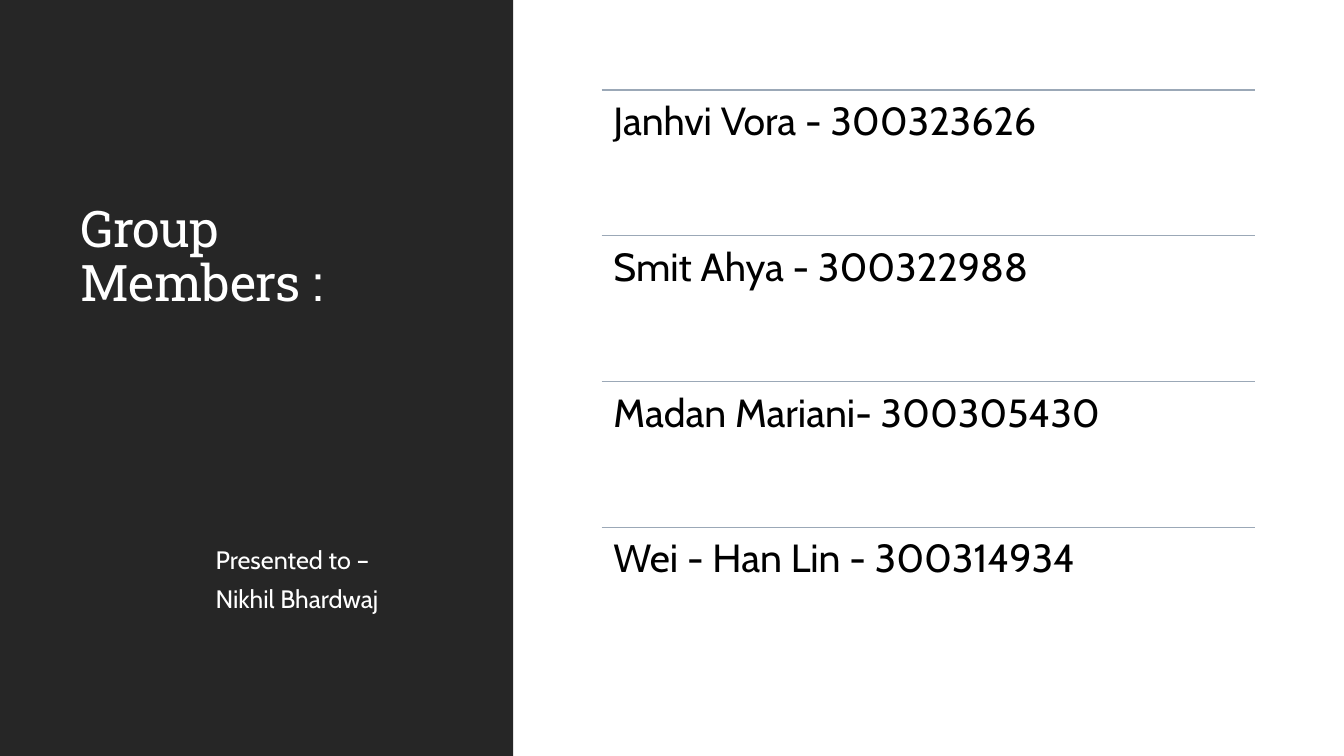
from lxml import etree
from pptx import Presentation
from pptx import util as u
from pptx.dml import color as col
from pptx.enum import shapes, text
from pptx.oxml import ns

HUES = {"panel": "262626", "light": "FFFFFF", "dark": "000000", "rule": "9BA8B7"}
MEMBERS = [
    "Janhvi Vora - 300323626",
    "Smit Ahya - 300322988",
    "Madan Mariani- 300305430",
    "Wei - Han Lin - 300314934",
]
LEFT, TOP, WIDE, STEP = 429.8, 64.1, 466.6, 104.2


def hue(name):
    return col.RGBColor.from_string(HUES[name])


def place(shape, x, y, w, h):
    shape.left, shape.top = u.Pt(x), u.Pt(y)
    shape.width, shape.height = u.Pt(w), u.Pt(h)


def write(shape, lines, size, tone, font="Cabin", anchor=text.MSO_ANCHOR.TOP,
          inset=None, lead=None, after=0, track=None):
    frame = shape.text_frame
    frame.word_wrap = True
    frame.auto_size = text.MSO_AUTO_SIZE.NONE
    frame.vertical_anchor = anchor
    if inset is not None:
        frame.margin_left = frame.margin_right = u.Pt(inset)
        frame.margin_top = frame.margin_bottom = u.Pt(inset)
    frame.text = "\n".join(lines)
    for para in frame.paragraphs:
        para.alignment = text.PP_ALIGN.LEFT
        para.space_before, para.space_after = u.Pt(0), u.Pt(after)
        para.line_spacing = lead
        for run in para.runs:
            run.font.name = font
            run.font.size = u.Pt(size)
            run.font.color.rgb = hue(tone)
            if track is not None:
                run.font._element.set("spc", str(track))


def add_box(slide, x, y, w, h, lines, **style):
    box = slide.shapes.add_textbox(u.Pt(x), u.Pt(y), u.Pt(w), u.Pt(h))
    write(box, lines, **style)


def add_rule(slide, x, y, w):
    rule = slide.shapes.add_connector(
        shapes.MSO_CONNECTOR.STRAIGHT, u.Pt(x), u.Pt(y), u.Pt(x + w), u.Pt(y))
    rule.line.color.rgb = hue("rule")
    rule.line.width = u.Pt(1.25)
    etree.SubElement(rule._element.spPr, ns.qn("a:effectLst"))


def add_panel(slide, w, h):
    panel = slide.shapes.add_shape(
        shapes.MSO_SHAPE.RECTANGLE, 0, 0, u.Pt(w), u.Pt(h))
    panel.shadow.inherit = False
    panel.fill.solid()
    panel.fill.fore_color.rgb = hue("panel")
    panel.line.fill.background()
    slide.shapes._spTree.insert(2, panel._element)


def main():
    deck = Presentation()
    deck.slide_width, deck.slide_height = u.Pt(960), u.Pt(540)
    slide = deck.slides.add_slide(deck.slide_layouts[5])
    add_panel(slide, 366.5, 540)

    title = slide.shapes.title
    place(title, 50.4, 61.9, 277.2, 164.9)
    write(title, ["Group Members :"], size=36, tone="light", font="Roboto Slab",
          anchor=text.MSO_ANCHOR.BOTTOM, lead=0.9, track=-50)
    add_box(slide, 146.9, 385.2, 180.7, 95.8, ["Presented to –", "Nikhil Bhardwaj"],
            size=18, tone="light", after=6)

    for row, member in enumerate(MEMBERS):
        y = TOP + row * STEP
        add_rule(slide, LEFT, y, WIDE)
        add_box(slide, LEFT, y, WIDE, STEP, [member],
                size=28, tone="dark", inset=8.4, lead=0.9)

    deck.save("out.pptx")


if __name__ == "__main__":
    main()
